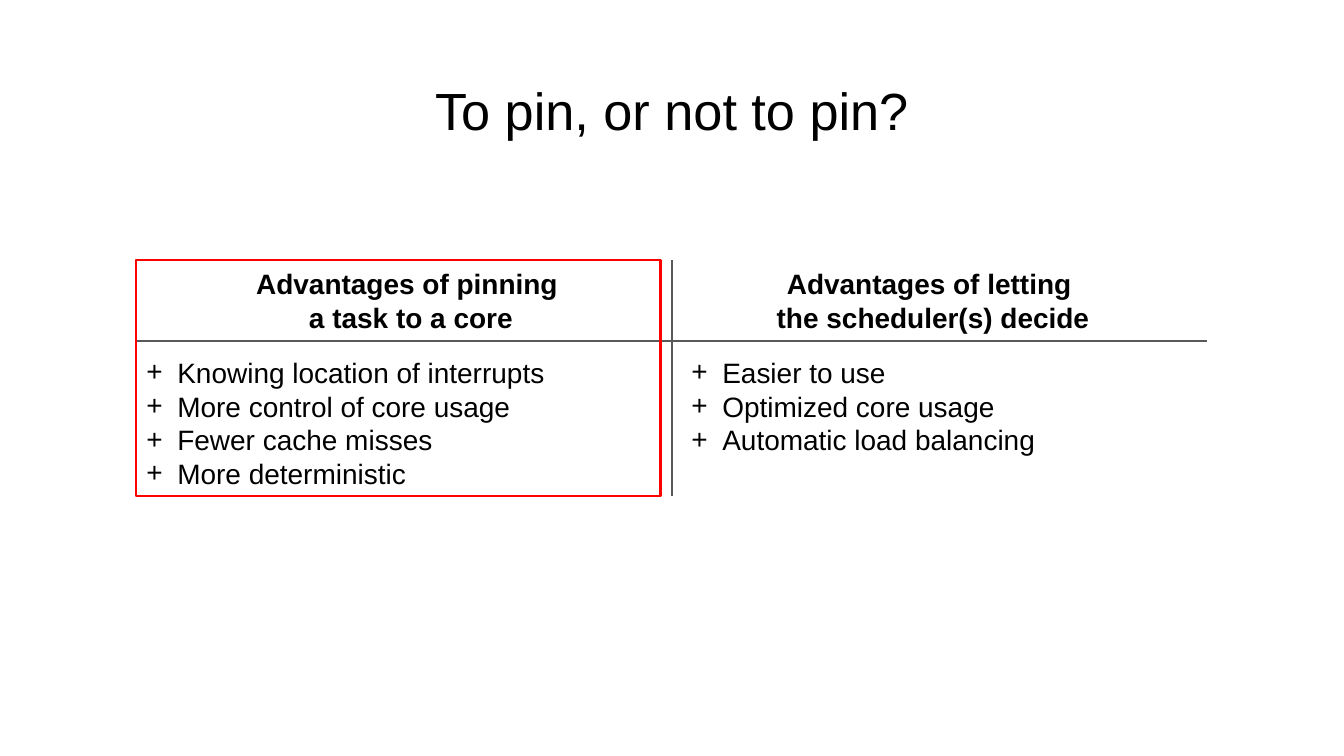
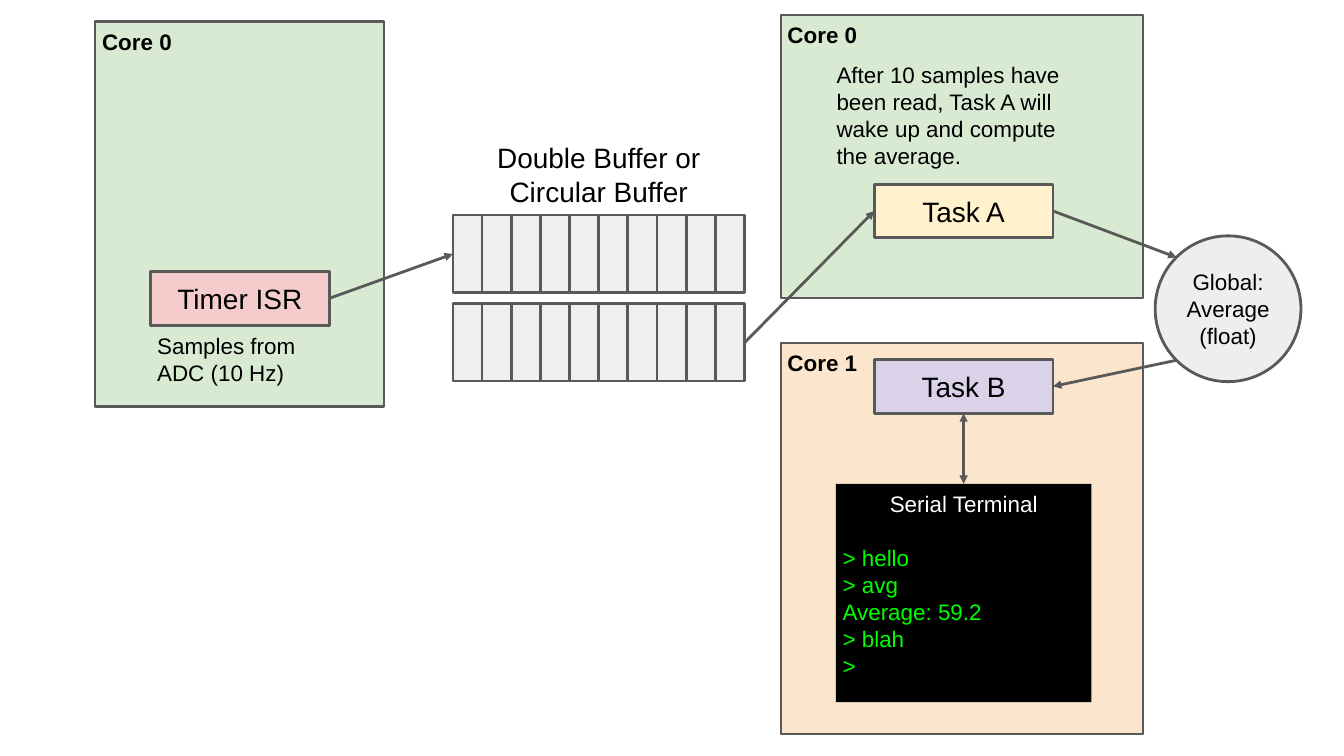
import pptx
import pptx.util
import pptx.dml.color
import pptx.enum.shapes
import pptx.enum.text
import pptx.oxml.ns
from lxml import etree

Inches = pptx.util.Inches
Pt = pptx.util.Pt
KIND = pptx.enum.shapes.MSO_SHAPE
ALIGN = pptx.enum.text.PP_ALIGN
ANCHOR = pptx.enum.text.MSO_ANCHOR
FIT = pptx.enum.text.MSO_AUTO_SIZE

FONT = "Arial"
BLACK, WHITE, GREY, RED, LIME = "000000", "FFFFFF", "595959", "FF0000", "00FF00"
GREEN, PEACH, CELL = "D9EAD3", "FCE5CD", "EFEFEF"
BIG, MID, SMALL = 56, 30, 24

TITLE = "To pin, or not to pin?"
SIDES = [
    (["Advantages of pinning ", "a task to a core"],
     ["Knowing location of interrupts", "More control of core usage",
      "Fewer cache misses", "More deterministic"], 2.23, 2.04),
    (["Advantages of letting ", "the scheduler(s) decide"],
     ["Easier to use", "Optimized core usage", "Automatic load balancing"], 10, 10.15),
]
RULES = [((2.04, 5.08), (17.96, 5.08)), ((10, 3.87), (10, 7.38))]
FRAME = (2.02, 3.87, 7.81, 3.51)

CORES = [
    ("Core 0", (1.42, 0.32, 4.29, 5.73), GREEN),
    ("Core 0", (11.62, 0.22, 5.39, 4.22), GREEN),
    ("Core 1", (11.62, 5.1, 5.39, 5.83), PEACH),
]
TASKS = [
    ("Task A", 13.01, 2.74, "FFF2CC"),
    ("Task B", 13.01, 5.35, "D9D2E9"),
    ("Timer ISR", 2.24, 4.04, "F4CCCC"),
]
TASK_SIZE = (2.66, 0.8)
CELLS, LEFT, WIDE, TALL = 10, 6.74, 4.34, 1.15
ROWS = [3.2, 4.52]
GLOBAL = ["Global:", "Average (float)"]
SCREEN = ["Serial Terminal", "> hello", "> avg", "Average: 59.2", "> blah", ">"]
ARROWS = [
    ((4.9, 4.44), (6.74, 3.78), False),
    ((11.08, 5.1), (13.01, 3.14), False),
    ((15.67, 3.14), (17.51, 3.83), False),
    ((17.51, 5.36), (15.67, 5.75), False),
    ((14.34, 6.15), (14.34, 7.2), True),
]
NOTES = [
    ("Double Buffer or Circular Buffer", (LEFT, 1.99, WIDE, 1.21), MID, ALIGN.CENTER),
    ("Samples from ADC (10 Hz)", (2.24, 4.84, 2.66, 1.01), SMALL, ALIGN.LEFT),
    ("After 10 samples have been read, Task A will wake up and compute the average.",
     (12.35, 0.81, 3.98, 1.82), SMALL, ALIGN.LEFT),
]


def color(code):
    return pptx.dml.color.RGBColor.from_string(code)


def place(box):
    return [Inches(n) for n in box]


def write(shape, lines, size, align=ALIGN.LEFT, bold=False, inset=0.1, anchor=ANCHOR.TOP):
    frame = shape.text_frame
    frame.word_wrap = True
    frame.auto_size = FIT.NONE
    frame.vertical_anchor = anchor
    frame.margin_left = frame.margin_right = Inches(inset)
    frame.margin_top = frame.margin_bottom = Inches(inset)
    frame.text = "\n".join(lines)
    for para in frame.paragraphs:
        para.alignment = align
        para.font.name = FONT
        para.font.size = Pt(size)
        para.font.bold = bold
        para.font.color.rgb = color(BLACK)
    return frame.paragraphs


def add_text(slide, box, lines, size, **style):
    return write(slide.shapes.add_textbox(*place(box)), lines, size, **style)


def add_box(slide, box, fill=None, line=GREY, width=3, kind=KIND.RECTANGLE):
    shape = slide.shapes.add_shape(kind, *place(box))
    shape.shadow.inherit = False
    if fill:
        shape.fill.solid()
        shape.fill.fore_color.rgb = color(fill)
    else:
        shape.fill.background()
    if line:
        shape.line.color.rgb = color(line)
        shape.line.width = Pt(width)
    else:
        shape.line.fill.background()
    return shape


def add_node(parent, tag, **attrs):
    return etree.SubElement(parent, pptx.oxml.ns.qn(tag), **attrs)


def add_line(slide, start, end, width, ends=()):
    line = slide.shapes.add_connector(
        pptx.enum.shapes.MSO_CONNECTOR.STRAIGHT, *place(start + end))
    line.line.color.rgb = color(GREY)
    line.line.width = Pt(width)
    for tag in ends:
        add_node(line.line._get_or_add_ln(), tag, type="triangle")
    add_node(line._element.spPr, "a:effectLst")


def add_plus(para):
    props = para._p.get_or_add_pPr()
    props.set("marL", str(Inches(0.5)))
    props.set("indent", str(Inches(-0.46)))
    marks = [etree.Element(pptx.oxml.ns.qn(tag)) for tag in ("a:buClr", "a:buFont", "a:buChar")]
    add_node(marks[0], "a:srgbClr", val=BLACK)
    marks[1].set("typeface", FONT)
    marks[2].set("char", "+")
    for spot, mark in enumerate(marks):
        props.insert(spot, mark)


def build_pins(deck):
    slide = deck.slides.add_slide(deck.slide_layouts[5])
    title = slide.shapes.title
    title.left, title.top, title.width, title.height = place((0.68, 0.97, 18.64, 1.25))
    write(title, [TITLE], BIG, align=ALIGN.CENTER, inset=0.2)
    for start, end in RULES:
        add_line(slide, start, end, 2.25)
    for head, items, head_x, list_x in SIDES:
        add_text(slide, (head_x, 3.87, 7.77, 1.21), head, MID, align=ALIGN.CENTER, bold=True)
        box = (list_x, 5.19, 7.81, 0.21 + 0.5 * len(items))
        for para in add_text(slide, box, items, MID):
            add_plus(para)
    add_box(slide, FRAME, line=RED, width=2.25)


def build_flow(deck):
    slide = deck.slides.add_slide(deck.slide_layouts[6])
    for name, box, fill in CORES:
        write(add_box(slide, box, fill, width=2.25), [name], SMALL, bold=True)
    for name, x, y, fill in TASKS:
        write(add_box(slide, (x, y) + TASK_SIZE, fill), [name], MID,
              align=ALIGN.CENTER, anchor=ANCHOR.MIDDLE)
    step = WIDE / CELLS
    for y in ROWS:
        for n in range(CELLS):
            add_box(slide, (LEFT + n * step, y, step, TALL), CELL)

    screen = add_box(slide, (12.44, 7.2, 3.8, 3.25), BLACK, line=None)
    head, *rest = write(screen, SCREEN, SMALL)
    head.alignment = ALIGN.CENTER
    head.font.color.rgb = color(WHITE)
    head.space_after = Pt(29)
    for para in rest:
        para.font.color.rgb = color(LIME)

    ball = add_box(slide, (17.19, 3.51, 2.17, 2.17), "EEEEEE", kind=KIND.OVAL)
    write(ball, GLOBAL, SMALL, align=ALIGN.CENTER, anchor=ANCHOR.MIDDLE)
    for start, end, both in ARROWS:
        add_line(slide, start, end, 3, ("a:headEnd", "a:tailEnd") if both else ("a:tailEnd",))
    for text, box, size, align in NOTES:
        add_text(slide, box, [text], size, align=align)


def main():
    deck = pptx.Presentation()
    deck.slide_width, deck.slide_height = place((20, 11.25))
    build_pins(deck)
    build_flow(deck)
    deck.save("out.pptx")


if __name__ == "__main__":
    main()
